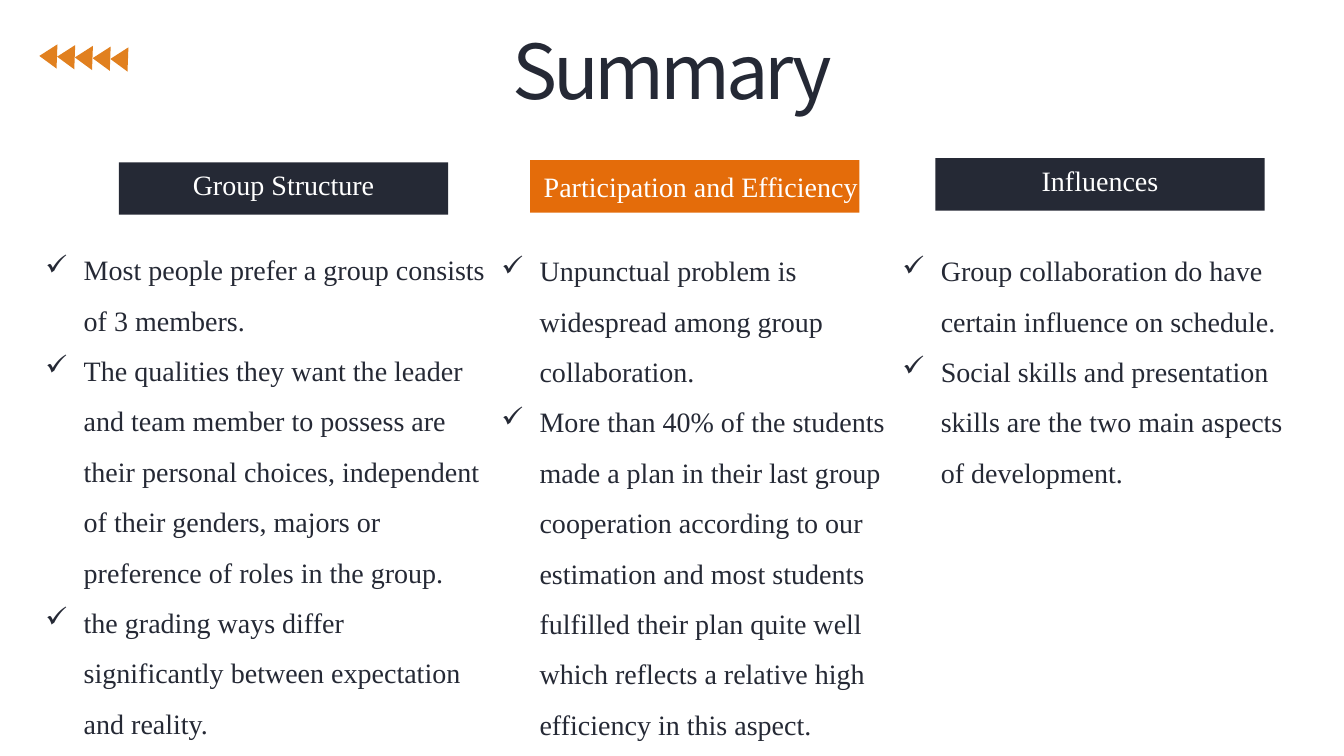
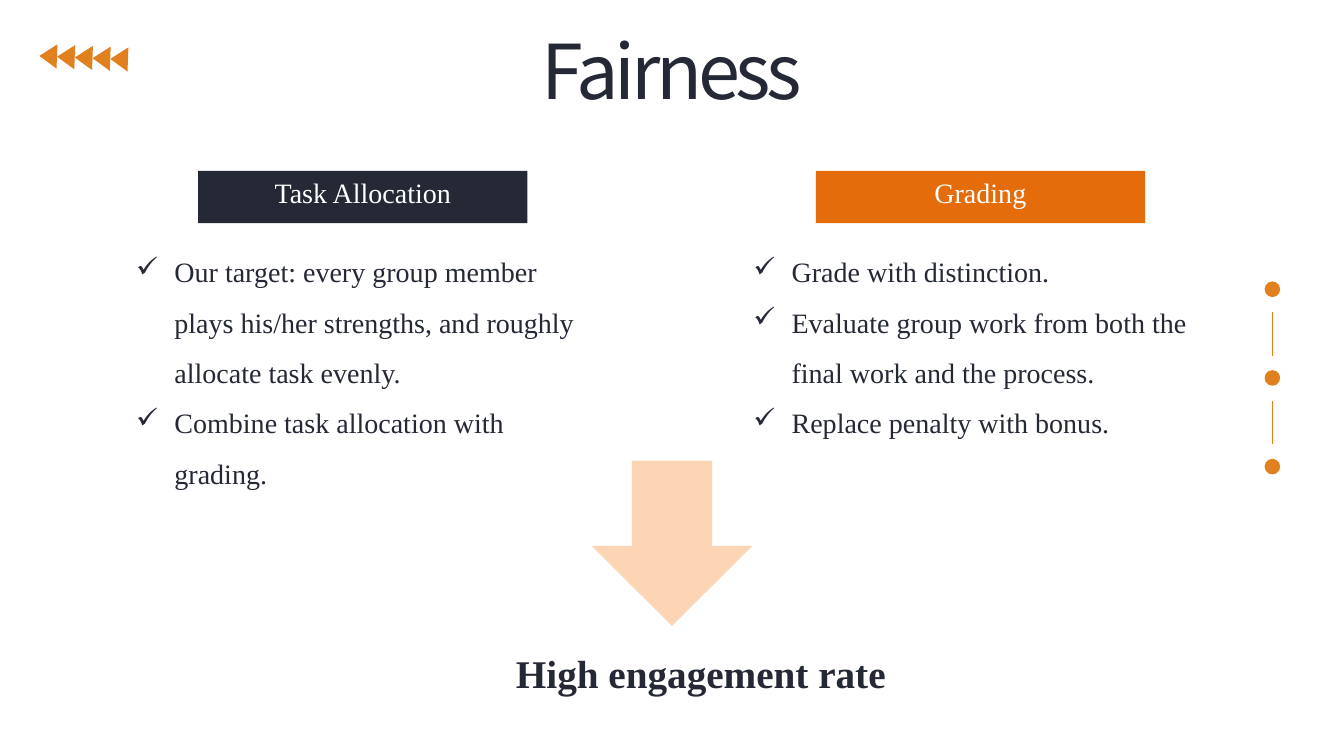
import pptx
import pptx.util
import pptx.dml.color
import pptx.enum.shapes
import pptx.enum.text
import pptx.oxml.ns
import lxml.etree
from collections import namedtuple

RGB = pptx.dml.color.RGBColor
NAVY = RGB(0x25, 0x29, 0x35)
ORANGE = RGB(0xE4, 0x6C, 0x0A)
AMBER = RGB(0xE1, 0x80, 0x1F)
PEACH = RGB(0xFC, 0xD5, 0xB5)
WHITE = RGB(0xFF, 0xFF, 0xFF)
SANS = "Noto Sans CJK SC"
SERIF = "Times New Roman"
KIND = pptx.enum.shapes.MSO_SHAPE
ALIGN = pptx.enum.text.PP_ALIGN
ANCHOR = pptx.enum.text.MSO_ANCHOR
FIT = pptx.enum.text.MSO_AUTO_SIZE
WIDE = pptx.util.Inches(13.33)
HIGH = pptx.util.Inches(7.5)
BAR_W, BAR_H = 24.5, 6.93
LABEL_W, LABEL_H = 18.75, 5.87

Box = namedtuple("Box", "x y w h")
Column = namedtuple("Column", "head color bar body items wide shift drop",
                    defaults=(LABEL_W, 0, 0))


def across(share):
    return round(WIDE * share / 100)


def down(share):
    return round(HIGH * share / 100)


def place(box):
    return across(box.x), down(box.y), across(box.w), down(box.h)


def child(parent, tag, **attrs):
    return lxml.etree.SubElement(parent, pptx.oxml.ns.qn(tag), attrs)


def paint(shape, fill=None, line=None):
    shape.shadow.inherit = False
    if fill is None:
        shape.fill.background()
    else:
        shape.fill.solid()
        shape.fill.fore_color.rgb = fill
    if line is None:
        shape.line.fill.background()
    else:
        shape.line.color.rgb = line
        shape.line.width = pptx.util.Pt(1)


def draw(slide, kind, box, fill=None, line=None):
    shape = slide.shapes.add_shape(kind, *place(box))
    paint(shape, fill, line)
    return shape


def write(frame, lines, size=20, font=SERIF, color=NAVY, bold=False,
          align=ALIGN.LEFT, space=None, check=False, track=None, flush=False):
    frame.word_wrap = True
    if flush:
        frame.margin_left = frame.margin_right = 0
        frame.margin_top = frame.margin_bottom = 0
    for index, line in enumerate(lines):
        para = frame.add_paragraph() if index else frame.paragraphs[0]
        para.alignment = align
        if space:
            para.line_spacing = space
        if check:
            props = para._p.get_or_add_pPr()
            indent = pptx.util.Inches(0.38)
            props.set("marL", str(indent))
            props.set("indent", str(-indent))
            child(props, "a:buChar", char="✓")
        run = para.add_run()
        run.text = line
        run.font.size = pptx.util.Pt(size)
        run.font.name = font
        run.font.bold = bold
        run.font.color.rgb = color
        props = run._r.get_or_add_rPr()
        child(props, "a:ea", typeface=font)
        if track:
            props.set("spc", str(track * 100))


def text(slide, box, lines, **look):
    frame = slide.shapes.add_textbox(*place(box)).text_frame
    write(frame, lines, **look)
    frame.auto_size = FIT.SHAPE_TO_FIT_TEXT


def title(slide, box, words):
    shape = draw(slide, KIND.ROUNDED_RECTANGLE, box)
    shape.adjustments[0] = 0.5
    shape.text_frame.vertical_anchor = ANCHOR.MIDDLE
    write(shape.text_frame, [words], size=54, font=SANS,
          align=ALIGN.CENTER, track=-3)


def arrows(slide, box, count=5):
    wide, high = box.w / count, box.h * 0.89
    rise = (box.h - high) / (count - 1)
    for index in range(count):
        left, top = box.x + index * wide, box.y + index * rise
        points = [(across(left + wide * u), down(top + high * v))
                  for u, v in ((0, 0.48), (0.97, 1), (1.02, 0))]
        path = slide.shapes.build_freeform(*points[0], scale=1.0)
        path.add_line_segments(points[1:], close=True)
        paint(path.convert_to_shape(), AMBER)


def rail(slide, box, count=3):
    dot = box.h * 0.074
    step = (box.h - dot) / (count - 1)
    mid = across(box.x + box.w / 2)
    for index in range(count):
        top = box.y + index * step
        draw(slide, KIND.OVAL, Box(box.x, top, box.w, dot), AMBER, AMBER)
        if index < count - 1:
            line = slide.shapes.add_connector(
                pptx.enum.shapes.MSO_CONNECTOR.STRAIGHT,
                mid, down(top + step * 0.34), mid, down(top + step * 0.83))
            line.line.color.rgb = AMBER
            line.line.width = pptx.util.Pt(0.5)
            child(line._element.spPr, "a:effectLst")


def column(slide, col):
    left, top = col.bar
    draw(slide, KIND.RECTANGLE, Box(left, top, BAR_W, BAR_H), col.color)
    label = Box(left + (BAR_W - col.wide) / 2 + col.shift,
                top + col.drop, col.wide, LABEL_H)
    text(slide, label, [col.head], color=WHITE, align=ALIGN.CENTER)
    text(slide, col.body, col.items, space=1.5, check=True, flush=True)


def result(slide, box, words):
    draw(slide, KIND.DOWN_ARROW,
         Box(box.x + box.w * 0.26, box.y, box.w * 0.353, box.h * 0.726), PEACH)
    text(slide, Box(box.x, box.y + box.h * 0.726, box.w, box.h * 0.274),
         [words], size=28, bold=True, align=ALIGN.CENTER,
         space=1.5, flush=True)


def page(deck, words, columns):
    slide = deck.slides.add_slide(deck.slide_layouts[6])
    arrows(slide, Box(2.93, 5.87, 6.6, 3.6))
    title(slide, Box(35.25, 5.73, 29.5, 6.93), words)
    for col in columns:
        column(slide, col)
    return slide


SUMMARY = [
    Column("Group Structure", NAVY, (8.85, 21.47), Box(3.38, 31.2, 32.8, 66.5), [
        "Most people prefer a group consists of 3 members.",
        "The qualities they want the leader and team member to possess are "
        "their personal choices, independent of their genders, majors or "
        "preference of roles in the group.",
        "the grading ways differ significantly between expectation "
        "and reality."]),
    Column("Participation and Efficiency", ORANGE, (39.45, 21.2),
           Box(37.3, 31.33, 29.5, 66.5), [
        "Unpunctual problem is widespread among group collaboration.",
        "More than 40% of the students made a plan in their last group "
        "cooperation according to our estimation and most students "
        "fulfilled their plan quite well which reflects a relative high "
        "efficiency in this aspect."], 25.3, 0.45, 0.53),
    Column("Influences", NAVY, (69.6, 20.93), Box(67.15, 31.33, 29.5, 32.8), [
        "Group collaboration do have certain influence on schedule.",
        "Social skills and presentation skills are the two main aspects "
        "of development."]),
]

FAIRNESS = [
    Column("Task Allocation", NAVY, (14.75, 22.6), Box(10.13, 31.47, 33.8, 32.8), [
        "Our target: every group member plays his/her strengths, and "
        "roughly allocate task evenly.",
        "Combine task allocation with grading."]),
    Column("Grading", ORANGE, (60.7, 22.6), Box(56.05, 31.47, 33.8, 26.1), [
        "Grade with distinction.",
        "Evaluate group work from both the final work and the process.",
        "Replace penalty with bonus."]),
]


def main():
    deck = pptx.Presentation()
    deck.slide_width, deck.slide_height = WIDE, HIGH
    page(deck, "Summary", SUMMARY)
    slide = page(deck, "Fairness", FAIRNESS)
    rail(slide, Box(94.15, 37.33, 1.05, 25.33))
    result(slide, Box(35.25, 60.93, 33.8, 30.13), "High engagement rate")
    deck.save("out.pptx")


if __name__ == "__main__":
    main()
